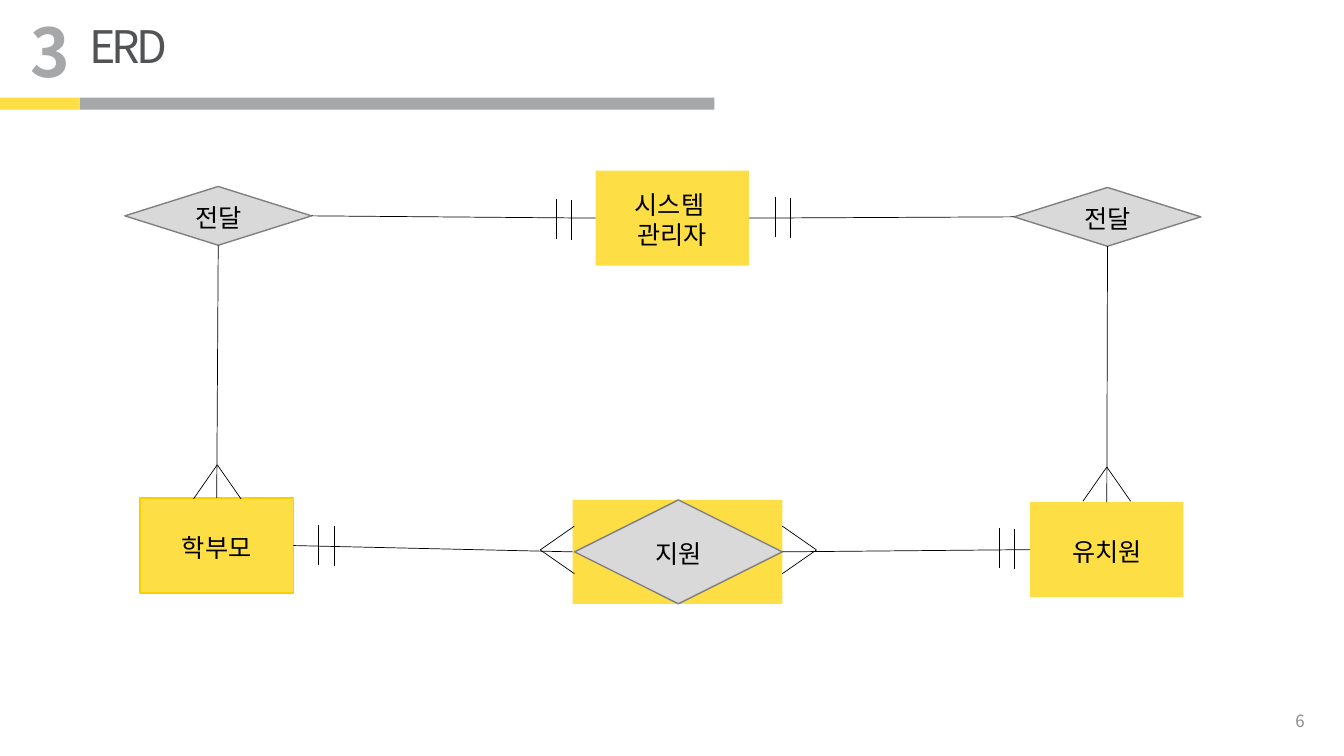
from lxml import etree
from pptx import Presentation
from pptx.dml.color import RGBColor
from pptx.enum.shapes import MSO_CONNECTOR, MSO_SHAPE
from pptx.enum.text import MSO_ANCHOR, MSO_AUTO_SIZE, PP_ALIGN
from pptx.oxml.ns import qn
from pptx.util import Pt

RECT, DIAMOND = MSO_SHAPE.RECTANGLE, MSO_SHAPE.FLOWCHART_DECISION
STRAIGHT = MSO_CONNECTOR.STRAIGHT
TOP_ANCHOR, MIDDLE = MSO_ANCHOR.TOP, MSO_ANCHOR.MIDDLE
LEFT_ALIGN, CENTER, RIGHT_ALIGN = PP_ALIGN.LEFT, PP_ALIGN.CENTER, PP_ALIGN.RIGHT
NO_FIT = MSO_AUTO_SIZE.NONE
TOP, LEFT, BOTTOM, RIGHT = range(4)

YELLOW = RGBColor(0xFD, 0xDE, 0x45)
GOLD = RGBColor(0xFB, 0xCE, 0x01)
GRAY = RGBColor(0xA6, 0xA7, 0xA9)
PALE = RGBColor(0xD9, 0xD9, 0xD9)
EDGE = RGBColor(0x80, 0x80, 0x80)
DARK = RGBColor(0x52, 0x53, 0x55)
PAGE_GRAY = RGBColor(0x8C, 0x8C, 0x8C)
BLACK = RGBColor(0, 0, 0)
FONT = "Noto Sans CJK KR"

ENTITY_SIZE = (109.6, 68)
RELATION_SIZE = (133.4, 42)
SUPPORT_SIZE = (148.4, 74.2)

BANDS = [
    (56.9, 69.8, 453.4, 8.6, GRAY),
    (0, 69.8, 56.9, 8.6, YELLOW),
]
NODES = {
    "parent": (RECT, 100, 355.7, ENTITY_SIZE, YELLOW, GOLD, "학부모"),
    "parent delivery": (DIAMOND, 89.2, 133.2, RELATION_SIZE, PALE, EDGE, "전달"),
    "kindergarten": (RECT, 735.8, 358.6, ENTITY_SIZE, YELLOW, None, "유치원"),
    "support": (RECT, 409, 357.1, (149.8, 74.2), YELLOW, None, ""),
    "support relation": (DIAMOND, 410.4, 357.1, SUPPORT_SIZE, PALE, EDGE, "지원"),
    "administrator": (RECT, 425.4, 121.8, ENTITY_SIZE, YELLOW, None, "시스템 \n관리자"),
    "kindergarten delivery": (DIAMOND, 724.4, 133.9, RELATION_SIZE, PALE, EDGE, "전달"),
}
LINKS = [
    ("parent", RIGHT, "support", LEFT),
    ("support", RIGHT, "kindergarten", LEFT),
    ("administrator", RIGHT, "kindergarten delivery", LEFT),
    ("kindergarten delivery", BOTTOM, "kindergarten", TOP),
    ("parent", TOP, "parent delivery", BOTTOM),
    ("parent delivery", RIGHT, "administrator", LEFT),
]
CROW_FEET = [
    (155.2, 332, 0, 1),
    (790.6, 333.6, 0, 1),
    (385.9, 392.8, 1, 0),
    (583.2, 392.8, -1, 0),
]
FOOT_REACH, FOOT_SPREAD = 24.4, 17
ONE_MARKS = [(397.4, 142), (553.6, 140.4), (227.6, 375.3), (713.6, 377.4)]
MARK_HEIGHT, MARK_GAP, MARK_DROP = 28.6, 11, 0.7


def points(*lengths):
    return [Pt(length) for length in lengths]


def write(frame, text, size, color, align, anchor, bold=False, spacing=None):
    frame.text = text
    frame.vertical_anchor = anchor
    for paragraph in frame.paragraphs:
        paragraph.alignment = align
        for run in paragraph.runs:
            run.font.name = FONT
            run.font.size = Pt(size)
            run.font.bold = bold
            run.font.color.rgb = color
            properties = run.font._element
            etree.SubElement(properties, qn("a:ea"), typeface=FONT)
            if spacing is not None:
                properties.set("spc", str(spacing))


def add_block(slide, kind, left, top, width, height, fill, edge=None):
    block = slide.shapes.add_shape(kind, *points(left, top, width, height))
    block.shadow.inherit = False
    block.fill.solid()
    block.fill.fore_color.rgb = fill
    if edge is None:
        block.line.fill.background()
    else:
        block.line.color.rgb = edge
        block.line.width = Pt(1)
    return block


def add_line(slide, x1, y1, x2, y2):
    line = slide.shapes.add_connector(STRAIGHT, *points(x1, y1, x2, y2))
    line.line.color.rgb = BLACK
    line.line.width = Pt(0.5)
    etree.SubElement(line._element.spPr, qn("a:effectLst"))
    return line


def add_label(slide, box, wrap, *style, **extra):
    frame = slide.shapes.add_textbox(*points(*box)).text_frame
    frame.word_wrap = wrap
    write(frame, *style, **extra)


def main():
    deck = Presentation()
    deck.slide_width, deck.slide_height = points(960, 540)
    slide = deck.slides.add_slide(deck.slide_layouts[5])

    for left, top, width, height, fill in BANDS:
        add_block(slide, RECT, left, top, width, height, fill)

    title = slide.shapes.title
    title.left, title.top, title.width, title.height = points(56.9, 9.4, 373, 46)
    title.text_frame.auto_size = NO_FIT
    write(title.text_frame, "ERD", 32, DARK, LEFT_ALIGN, TOP_ANCHOR, spacing=-300)
    add_label(slide, (14.4, 3.6, 41.8, 65.5), False,
              "3", 48, GRAY, LEFT_ALIGN, TOP_ANCHOR, bold=True)

    nodes = {}
    for name, (kind, left, top, size, fill, edge, text) in NODES.items():
        node = add_block(slide, kind, left, top, *size, fill, edge)
        if text:
            frame = node.text_frame
            frame.margin_left = frame.margin_right = 0
            frame.margin_top, frame.margin_bottom = points(2, 0)
            write(frame, text, 18, BLACK, CENTER, MIDDLE)
        nodes[name] = node

    for start, start_side, end, end_side in LINKS:
        link = add_line(slide, 0, 0, 0, 0)
        link.begin_connect(nodes[start], start_side)
        link.end_connect(nodes[end], end_side)

    for x, y, dx, dy in CROW_FEET:
        for side in (-1, 1):
            add_line(slide, x, y,
                     x + dx * FOOT_REACH + side * dy * FOOT_SPREAD,
                     y + dy * FOOT_REACH + side * dx * FOOT_SPREAD)

    for left, top in ONE_MARKS:
        for step in range(2):
            x, y = left + step * MARK_GAP, top + step * MARK_DROP
            add_line(slide, x, y, x, y + MARK_HEIGHT)

    add_label(slide, (723, 500.4, 216, 28.8), True,
              "6", 12, PAGE_GRAY, RIGHT_ALIGN, MIDDLE)
    deck.save("out.pptx")


if __name__ == "__main__":
    main()
